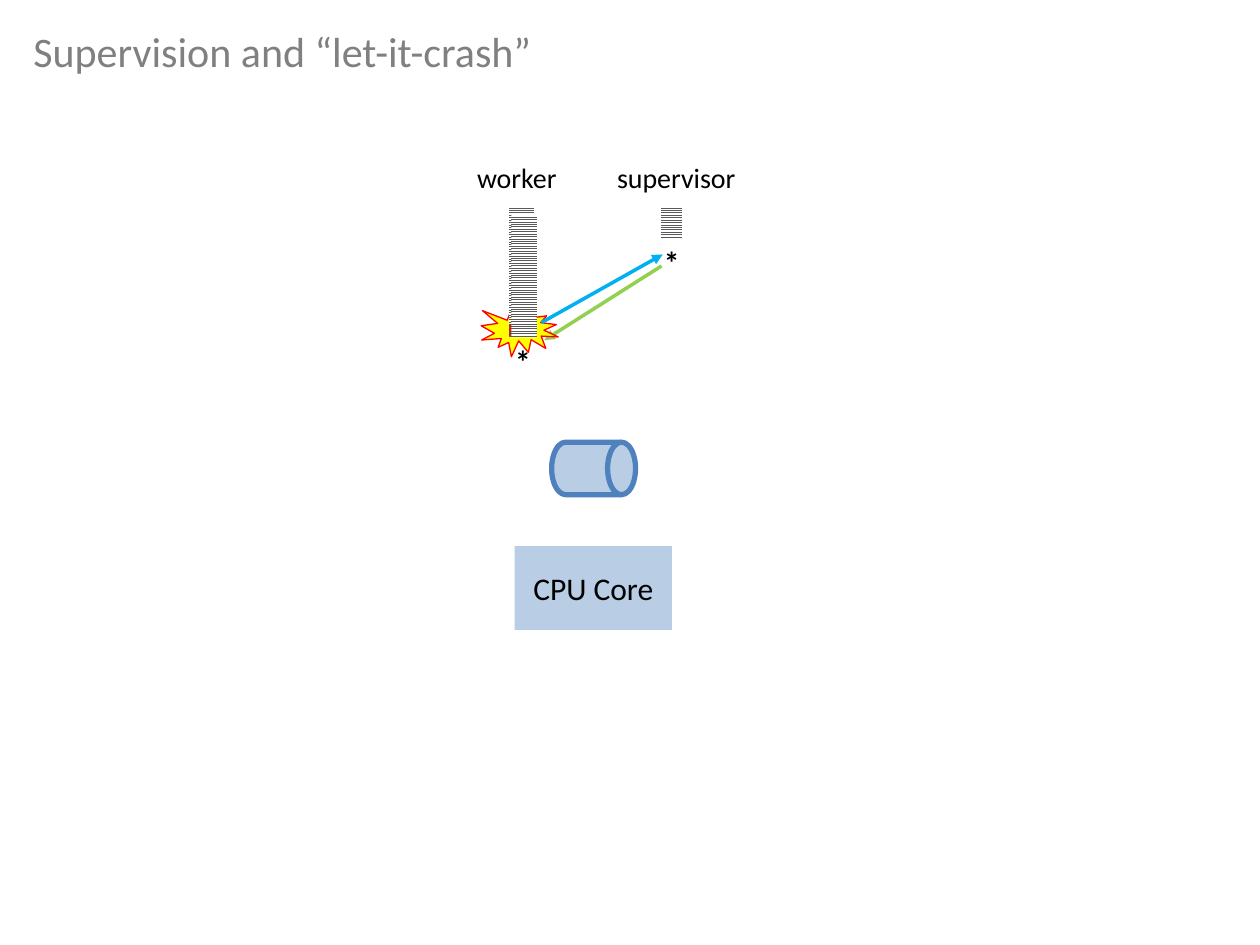
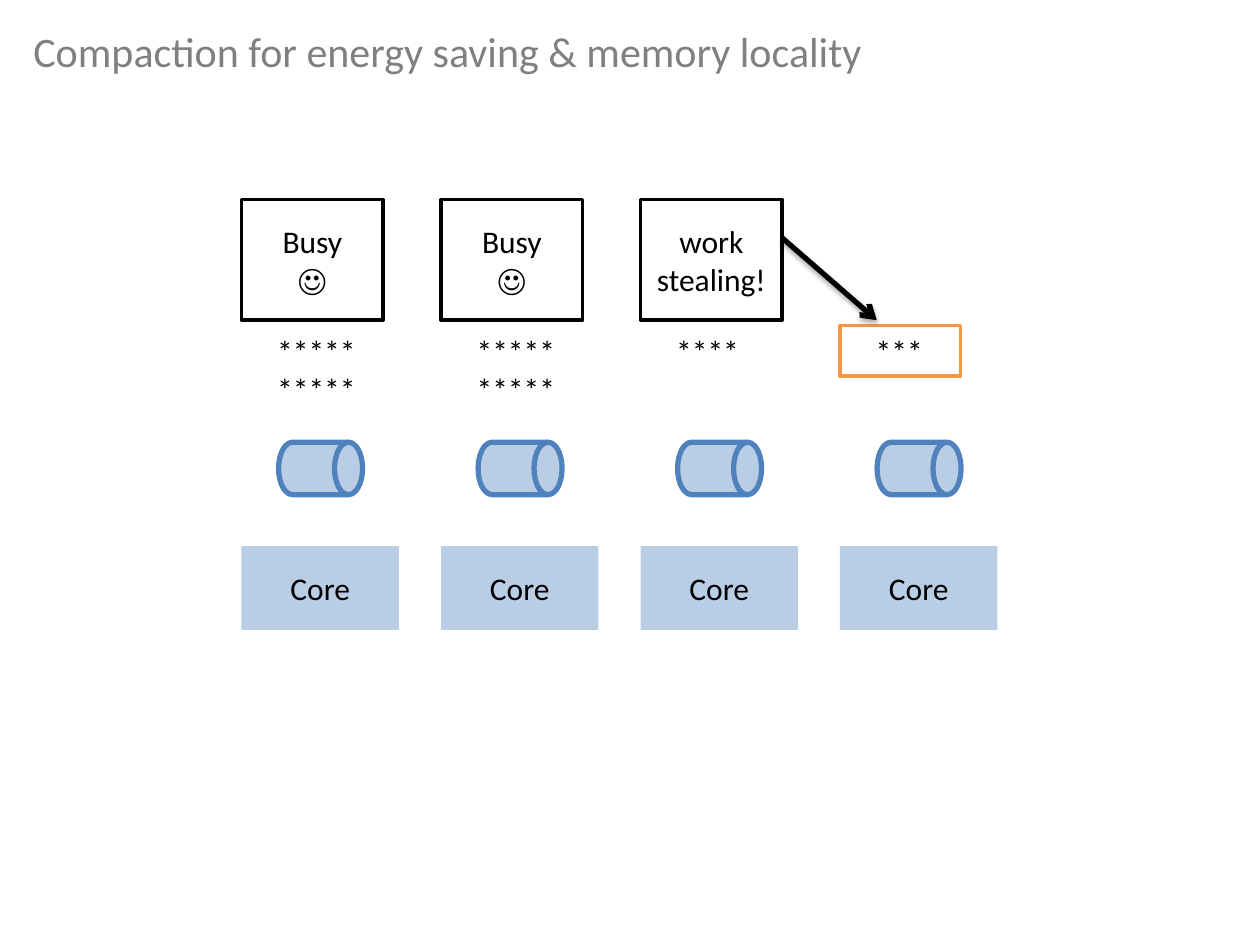
from dataclasses import dataclass

from lxml.etree import SubElement
from pptx import Presentation
from pptx.dml.color import RGBColor
from pptx.enum.dml import MSO_PATTERN
from pptx.enum.shapes import MSO_CONNECTOR, MSO_SHAPE
from pptx.enum.text import MSO_ANCHOR, MSO_AUTO_SIZE, PP_ALIGN
from pptx.oxml.ns import qn
from pptx.util import Pt


@dataclass(frozen=True)
class Theme:
    font: str = "Calibri"
    title_size: int = 24
    body_size: int = 18
    label_size: int = 16
    title: str = "808080"
    ink: str = "000000"
    paper: str = "FFFFFF"
    core: str = "B9CDE5"
    drum: str = "4F81BD"
    stripe: str = "595959"
    failure: str = "FF0000"
    burst: str = "FFFF00"
    report: str = "00B0F0"
    restart: str = "92D050"
    stolen: str = "F79646"


THEME = Theme()


def color(value):
    return RGBColor.from_string(value)


def write(text_frame, text, size, ink=THEME.ink, align=PP_ALIGN.LEFT, bold=False):
    paragraph = text_frame.paragraphs[0]
    paragraph.text = text
    paragraph.alignment = align
    for run in paragraph.runs:
        run.font.name = THEME.font
        run.font.size = Pt(size)
        run.font.bold = bold
        run.font.color.rgb = color(ink)


def add_text(slide, left, top, width, height, text, size,
             ink=THEME.ink, wrap=False, bold=False):
    text_box = slide.shapes.add_textbox(Pt(left), Pt(top), Pt(width), Pt(height))
    text_box.text_frame.word_wrap = wrap
    text_box.text_frame.auto_size = MSO_AUTO_SIZE.SHAPE_TO_FIT_TEXT
    write(text_box.text_frame, text, size, ink, bold=bold)


def add_shape(slide, kind, left, top, width, height, fill,
              line=None, line_width=0, text=None):
    shape = slide.shapes.add_shape(kind, Pt(left), Pt(top), Pt(width), Pt(height))
    shape.shadow.inherit = False
    shape.fill.solid()
    shape.fill.fore_color.rgb = color(fill)
    if line:
        shape.line.color.rgb = color(line)
        shape.line.width = Pt(line_width)
    else:
        shape.line.fill.background()
    if text:
        shape.text_frame.word_wrap = True
        shape.text_frame.vertical_anchor = MSO_ANCHOR.MIDDLE
        write(shape.text_frame, text, THEME.body_size, align=PP_ALIGN.CENTER)
    return shape


def add_stack(slide, left, top, width, height, back=THEME.paper):
    stack = add_shape(slide, MSO_SHAPE.RECTANGLE, left, top, width, height, back)
    stack.fill.patterned()
    stack.fill.pattern = MSO_PATTERN.LIGHT_HORIZONTAL
    stack.fill.fore_color.rgb = color(THEME.stripe)
    stack.fill.back_color.rgb = color(back)


def add_arrow(slide, start, end, ink, width, head="triangle", shadow=False):
    arrow = slide.shapes.add_connector(
        MSO_CONNECTOR.STRAIGHT, *(Pt(value) for value in (*start, *end)))
    arrow.line.color.rgb = color(ink)
    arrow.line.width = Pt(width)
    SubElement(arrow.line._get_or_add_ln(), qn("a:tailEnd"), type=head)
    effects = SubElement(arrow._element.spPr, qn("a:effectLst"))
    if shadow:
        outer = SubElement(effects, qn("a:outerShdw"), blurRad=str(Pt(3.1)),
                           dist=str(Pt(1.8)), dir="5400000", rotWithShape="0")
        tint = SubElement(outer, qn("a:srgbClr"), val=ink)
        SubElement(tint, qn("a:alpha"), val="35000")


def add_titled_slide(presentation, title):
    slide = presentation.slides.add_slide(presentation.slide_layouts[6])
    add_text(slide, 12, 10.8, 684, 36, title, THEME.title_size, THEME.title, wrap=True)
    return slide


def draw_processor(slide, left, top, name):
    add_shape(slide, MSO_SHAPE.FLOWCHART_DIRECT_ACCESS_STORAGE, left + 21.2, top,
              48, 30, THEME.core, THEME.drum, 3)
    add_shape(slide, MSO_SHAPE.RECTANGLE, left, top + 59.3, 90, 48, THEME.core, text=name)


def draw_supervision(slide, left, top):
    add_arrow(slide, (left + 112.5, top + 64), (left + 45.5, top + 106.4),
              THEME.restart, 2)
    add_shape(slide, MSO_SHAPE.EXPLOSION1, left + 9.5, top + 86.4, 44, 29.5,
              THEME.burst, THEME.failure, 0.75)
    for x, y in ((21.8, 104.2), (106.8, 47.4)):
        add_text(slide, left + x, top + y, 23.8, 28.8, "*", THEME.body_size, bold=True)
    add_stack(slide, left + 25.4, top + 29.4, 14.4, 75)
    add_stack(slide, left + 112.5, top + 29.4, 11.5, 18)
    add_stack(slide, left + 25.4, top + 97.8, 14.4, 5.8, THEME.failure)
    add_stack(slide, left + 26.8, top + 34.6, 14.4, 70.3)
    add_arrow(slide, (left + 44, top + 96.3), (left + 113.2, top + 57.4),
              THEME.report, 2)
    for x, width, label in ((0, 61.2, "worker"), (80, 82.8, "supervisor")):
        add_text(slide, left + x, top, width, 26.6, label, THEME.label_size)


def draw_scheduler(slide, left, top, status, queue):
    if status:
        add_shape(slide, MSO_SHAPE.RECTANGLE, left, top, 81, 69,
                  THEME.paper, THEME.ink, 2, status)
    else:
        add_shape(slide, MSO_SHAPE.RECTANGLE, left, top + 72, 69, 29,
                  THEME.paper, THEME.stolen, 2)
    rows = queue.split("\n")
    add_text(slide, left + 13.3, top + 72, 14.7 + 9 * len(rows[0]),
             7 + 22 * len(rows), queue, THEME.body_size)
    draw_processor(slide, left, top + 138.7, "Core")


def draw_schedulers(slide, left, top, pitch):
    full_queue = "*****\n*****"
    schedulers = (("Busy\n☺", full_queue), ("Busy\n☺", full_queue),
                  ("work stealing!", "****"), (None, "***"))
    for column, (status, queue) in enumerate(schedulers):
        draw_scheduler(slide, left + column * pitch, top, status, queue)
    add_arrow(slide, (left + 2 * pitch + 81, top + 22), (left + 3 * pitch + 21, top + 69),
              THEME.ink, 3, "arrow", shadow=True)


def main():
    presentation = Presentation()
    presentation.slide_width, presentation.slide_height = Pt(720), Pt(540)

    supervision = add_titled_slide(presentation, "Supervision and “let-it-crash”")
    draw_supervision(supervision, 265.5, 88)
    draw_processor(supervision, 294, 252.7, "CPU Core")

    compaction = add_titled_slide(
        presentation, "Compaction for energy saving & memory locality")
    draw_schedulers(compaction, 138, 114, 114)

    presentation.save("out.pptx")


if __name__ == "__main__":
    main()
